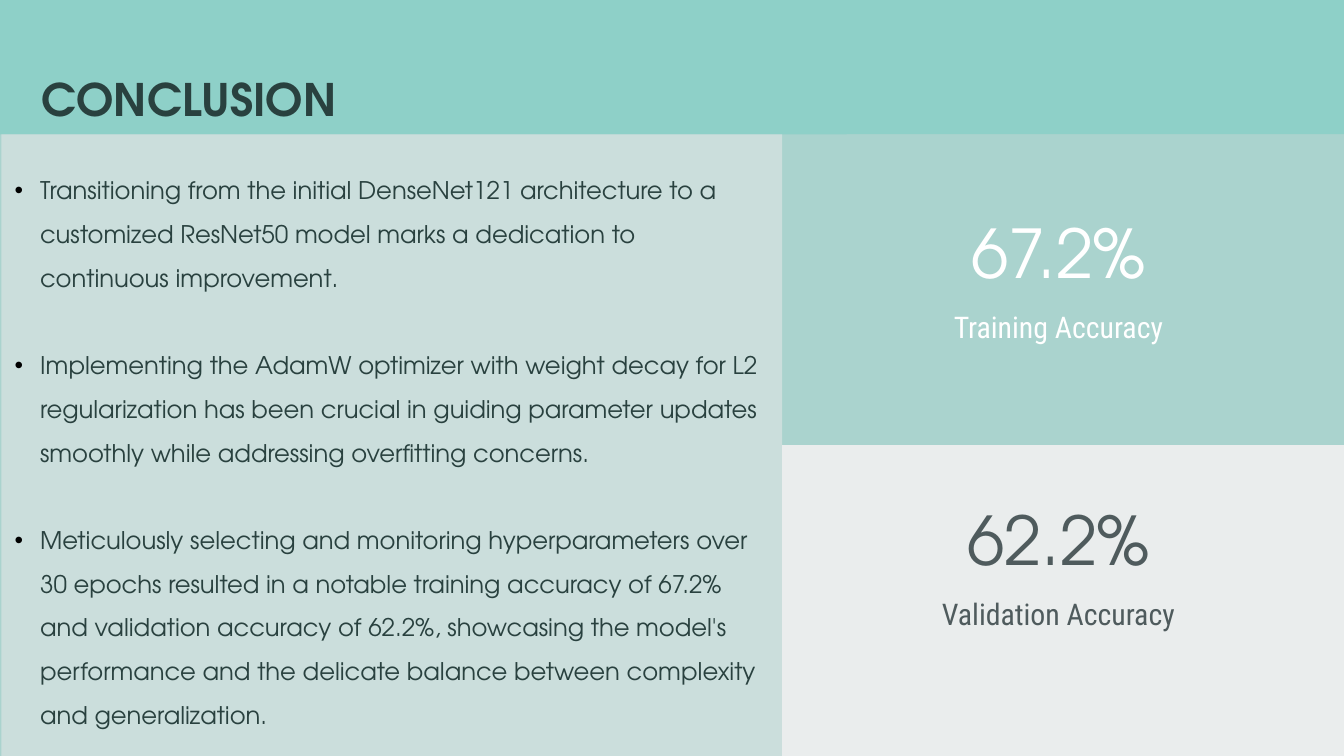
"""Build the conclusion slide with three findings and two accuracy figures."""
from lxml import etree
from pptx import Presentation
from pptx import util as u
from pptx.dml.color import RGBColor
from pptx.enum import shapes, text
from pptx.oxml import ns

TITLE = "CONCLUSION"
FINDINGS = [
    "Transitioning from the initial DenseNet121 architecture to a customized ResNet50 model marks a dedication to continuous improvement.",
    "Implementing the AdamW optimizer with weight decay for L2 regularization has been crucial in guiding parameter updates smoothly while addressing overfitting concerns.",
    "Meticulously selecting and monitoring hyperparameters over 30 epochs resulted in a notable training accuracy of 67.2% and validation accuracy of 62.2%, showcasing the model's performance and the delicate balance between complexity and generalization.",
]
STATS = [("67.2%", "Training Accuracy", "white"), ("62.2%", "Validation Accuracy", "gray")]

COLORS = {"header": "8ED0C8", "body": "CBDEDC", "teal": "AAD3CE", "pale": "EAEDED",
          "dark": "29413F", "gray": "4F5B5D", "white": "FFFFFF", "black": "000000"}
HEADING_FONT, LABEL_FONT = "TeX Gyre Adventor", "Roboto Condensed"
WIDTH = 10
HEIGHT = WIDTH * 9 / 16
HEADER = 1
SPLIT = 5.82
ROW = (HEIGHT - HEADER) / 2
STAT_LEFT, STAT_TOP, STAT_WIDTH, STAT_STEP = 6.4, 1.59, 2.95, 2.13
LABEL_OFFSET = 0.61
INDENT = 0.19
FINDING_GAP = 23.4


def color(name):
    return RGBColor.from_string(COLORS[name])


def add_panel(slide, left, top, width, height, fill):
    shape = slide.shapes.add_shape(shapes.MSO_SHAPE.RECTANGLE,
                                   *map(u.Inches, (left, top, width, height)))
    shape.shadow.inherit = False
    shape.fill.solid()
    shape.fill.fore_color.rgb = color(fill)
    shape.line.fill.background()
    return shape


def add_bullet(paragraph):
    properties = paragraph._p.get_or_add_pPr()
    properties.set("marL", str(u.Inches(INDENT)))
    properties.set("indent", str(-u.Inches(INDENT)))
    bullet_color = etree.SubElement(properties, ns.qn("a:buClr"))
    etree.SubElement(bullet_color, ns.qn("a:srgbClr"), val=COLORS["black"])
    etree.SubElement(properties, ns.qn("a:buFont"), typeface="Arial")
    etree.SubElement(properties, ns.qn("a:buChar"), char="•")


def write(shape, paragraphs, size, fill, font=HEADING_FONT, bold=False, align="LEFT",
          anchor="TOP", spacing=None, gap=0, bullets=False):
    frame = shape.text_frame
    frame.word_wrap = True
    frame.vertical_anchor = text.MSO_ANCHOR[anchor]
    frame.margin_left = frame.margin_right = frame.margin_top = frame.margin_bottom = u.Inches(0.1)
    for index, content in enumerate(paragraphs):
        paragraph = frame.add_paragraph() if index else frame.paragraphs[0]
        paragraph.alignment = text.PP_ALIGN[align]
        if spacing:
            paragraph.line_spacing = spacing
        if index and gap:
            paragraph.space_before = u.Pt(gap)
        if bullets:
            add_bullet(paragraph)
        run = paragraph.add_run()
        run.text = content
        run.font.name, run.font.size, run.font.bold = font, u.Pt(size), bold
        run.font.color.rgb = color(fill)


def add_text(slide, left, top, width, height, content, **style):
    shape = slide.shapes.add_textbox(*map(u.Inches, (left, top, width, height)))
    write(shape, [content], **style)


def main():
    presentation = Presentation()
    presentation.slide_width, presentation.slide_height = u.Inches(WIDTH), u.Inches(HEIGHT)
    slide = presentation.slides.add_slide(presentation.slide_layouts[6])
    slide.background.fill.solid()
    slide.background.fill.fore_color.rgb = color("teal")

    add_panel(slide, -0.03, 0, WIDTH + 0.05, HEADER, "header")
    add_text(slide, 0.21, 0.43, 5.97, 0.82, TITLE, size=24, fill="dark", bold=True)
    body = add_panel(slide, 0.01, HEADER, SPLIT - 0.01, 2 * ROW, "body")
    write(body, FINDINGS, size=13, fill="dark", anchor="MIDDLE", spacing=1.5,
          gap=FINDING_GAP, bullets=True)
    add_panel(slide, 6.3, HEADER, 3.71, 2 * ROW, "teal")
    add_panel(slide, SPLIT, HEADER + ROW, WIDTH - SPLIT + 0.01, ROW, "pale")

    for index, (figure, label, fill) in enumerate(STATS):
        top = STAT_TOP + index * STAT_STEP
        add_text(slide, STAT_LEFT, top + LABEL_OFFSET, STAT_WIDTH, 0.72, label,
                 size=16, fill=fill, font=LABEL_FONT, align="CENTER")
        add_text(slide, STAT_LEFT, top, STAT_WIDTH, 0.57, figure,
                 size=36, fill=fill, align="CENTER", anchor="MIDDLE")
    presentation.save("out.pptx")


if __name__ == "__main__":
    main()
